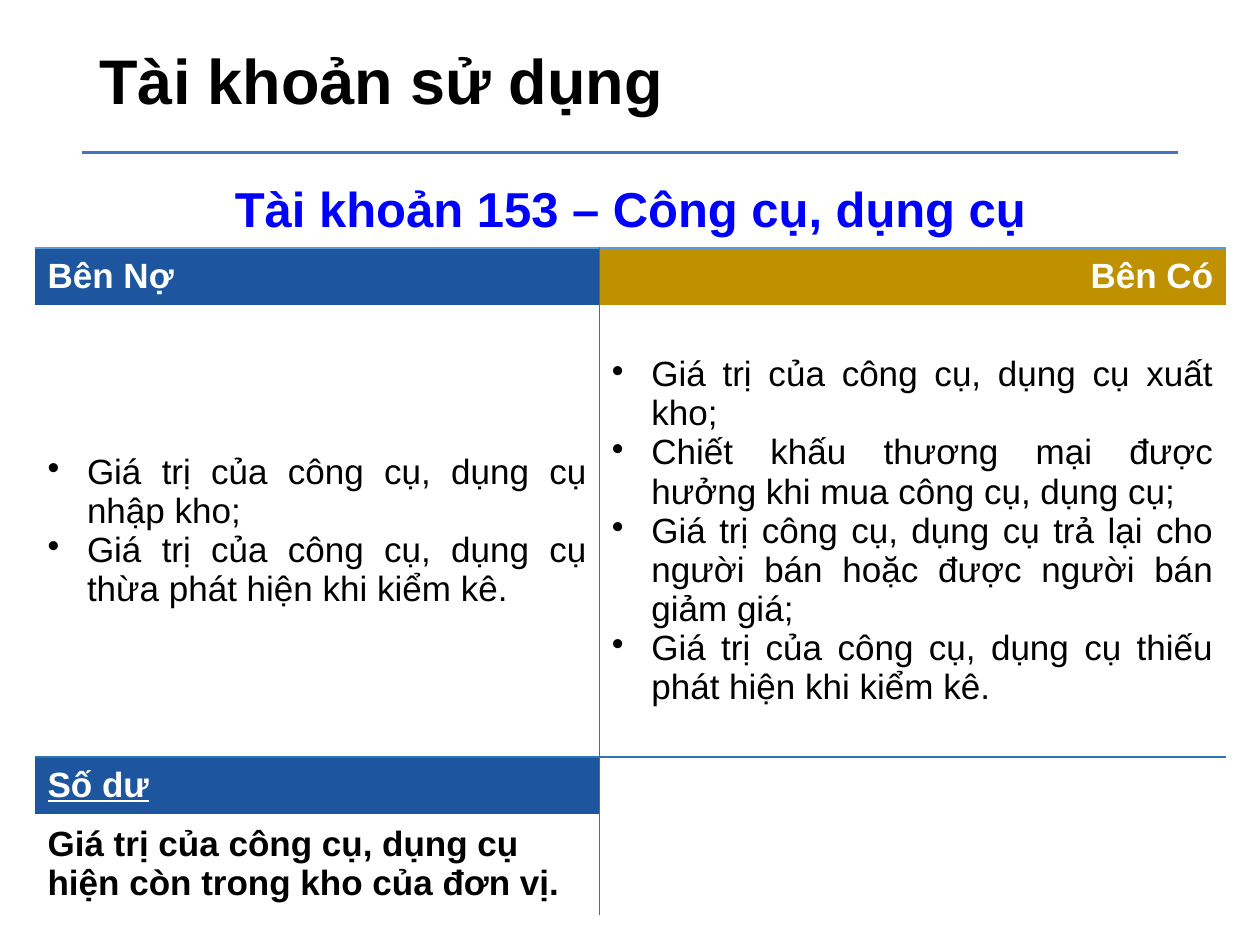
"""Builds the slide on account 153, tools and supplies, with its debit and credit sides."""
from dataclasses import dataclass

import pptx
import pptx.dml.color
import pptx.enum.shapes
import pptx.enum.text
import pptx.oxml
import pptx.oxml.ns
import pptx.util

Pt = pptx.util.Pt
ALIGN = pptx.enum.text.PP_ALIGN
MIDDLE = pptx.enum.text.MSO_ANCHOR.MIDDLE


@dataclass(frozen=True)
class Theme:
    font: str = "Arial"
    ink: str = "000000"
    light: str = "FFFFFF"
    account: str = "0000FF"
    debit: str = "1D559F"
    credit: str = "BF9000"
    rule: str = "4472C4"
    grid: str = "2E75B6"
    account_grid: str = "5B9BD5"
    title_size: float = 36
    account_size: float = 28
    body_size: float = 20


THEME = Theme()
COLUMN_WIDTHS = (322.5, 358)
ROW_HEIGHTS = (42.5, 32.4, 258.5, 32.4, 57.6)
BULLET_INDENT = Pt(22.5)

DEBIT_ENTRIES = (
    "Giá trị của công cụ, dụng cụ nhập kho;",
    "Giá trị của công cụ, dụng cụ thừa phát hiện khi kiểm kê.",
)
CREDIT_ENTRIES = (
    "Giá trị của công cụ, dụng cụ xuất kho;",
    "Chiết khấu thương mại được hưởng khi mua công cụ, dụng cụ;",
    "Giá trị công cụ, dụng cụ trả lại cho người bán hoặc được người bán giảm giá;",
    "Giá trị của công cụ, dụng cụ thiếu phát hiện khi kiểm kê.",
)


def rgb(value):
    return pptx.dml.color.RGBColor.from_string(value)


def add_text(paragraph, text, size=THEME.body_size, color=THEME.ink,
             bold=True, underline=False, align=ALIGN.LEFT):
    paragraph.alignment = align
    run = paragraph.add_run()
    run.text = text
    run.font.name = THEME.font
    run.font.size = Pt(size)
    run.font.bold = bold
    run.font.underline = underline
    run.font.color.rgb = rgb(color)


def add_bullets(frame, entries):
    for index, entry in enumerate(entries):
        paragraph = frame.add_paragraph() if index else frame.paragraphs[0]
        properties = paragraph._p.get_or_add_pPr()
        properties.set("marL", str(BULLET_INDENT))
        properties.set("indent", str(-BULLET_INDENT))
        bullet = pptx.oxml.parse_xml(
            f'<a:buChar {pptx.oxml.ns.nsdecls("a")} char="•"/>')
        properties.append(bullet)
        add_text(paragraph, entry, bold=False, align=ALIGN.JUSTIFY)


def set_borders(cell, colors):
    for side in "LRTB":
        color = colors.get(side)
        paint = (f'<a:solidFill><a:srgbClr val="{color}"/></a:solidFill>'
                 if color else "<a:noFill/>")
        cell._tc.get_or_add_tcPr().append(pptx.oxml.parse_xml(
            f'<a:ln{side} {pptx.oxml.ns.nsdecls("a")} w="{Pt(1)}">{paint}</a:ln{side}>'))


def border_colors(row, column):
    colors = {}
    if row:
        colors["L" if column else "R"] = THEME.grid
    if row in (0, 1):
        colors["T" if row else "B"] = THEME.account_grid
    if row in (2, 3):
        colors["B" if row == 2 else "T"] = THEME.grid
    return colors


def add_title(slide, text):
    title = slide.shapes.title
    title.left, title.top, title.width, title.height = Pt(49.7), Pt(18), Pt(620.6), Pt(59.8)
    title.text_frame.vertical_anchor = MIDDLE
    paragraph = title.text_frame.paragraphs[0]
    paragraph.line_spacing = 0.9
    add_text(paragraph, text, THEME.title_size)


def add_rule(slide):
    rule = slide.shapes.add_connector(
        pptx.enum.shapes.MSO_CONNECTOR.STRAIGHT, Pt(46.8), Pt(87), Pt(673.2), Pt(87))
    rule.line.color.rgb = rgb(THEME.rule)
    rule.line.width = Pt(1.5)
    rule._element.spPr.append(pptx.oxml.parse_xml(
        f'<a:effectLst {pptx.oxml.ns.nsdecls("a")}/>'))


def add_ledger(slide):
    ledger = slide.shapes.add_table(
        len(ROW_HEIGHTS), len(COLUMN_WIDTHS), Pt(20), Pt(99.2),
        Pt(sum(COLUMN_WIDTHS)), Pt(sum(ROW_HEIGHTS))).table
    ledger.first_row = ledger.horz_banding = False
    for column, width in zip(ledger.columns, COLUMN_WIDTHS):
        column.width = Pt(width)
    fills = {(1, 0): THEME.debit, (1, 1): THEME.credit, (3, 0): THEME.debit}
    for row, height in enumerate(ROW_HEIGHTS):
        ledger.rows[row].height = Pt(height)
        for column in range(len(COLUMN_WIDTHS)):
            cell = ledger.cell(row, column)
            cell.vertical_anchor = MIDDLE
            set_borders(cell, border_colors(row, column))
            if (row, column) in fills:
                cell.fill.solid()
                cell.fill.fore_color.rgb = rgb(fills[row, column])
            else:
                cell.fill.background()
    ledger.cell(0, 0).merge(ledger.cell(0, 1))
    return ledger


def fill_ledger(ledger):
    def write(row, column, text, **style):
        add_text(ledger.cell(row, column).text_frame.paragraphs[0], text, **style)

    write(0, 0, "Tài khoản 153 – Công cụ, dụng cụ", size=THEME.account_size,
          color=THEME.account, align=ALIGN.CENTER)
    write(1, 0, "Bên Nợ", color=THEME.light)
    write(1, 1, "Bên Có", color=THEME.light, align=ALIGN.RIGHT)
    add_bullets(ledger.cell(2, 0).text_frame, DEBIT_ENTRIES)
    add_bullets(ledger.cell(2, 1).text_frame, CREDIT_ENTRIES)
    write(3, 0, "Số dư", color=THEME.light, underline=True)
    write(4, 0, "Giá trị của công cụ, dụng cụ hiện còn trong kho của đơn vị.")


def main():
    deck = pptx.Presentation()
    deck.slide_width, deck.slide_height = Pt(720), Pt(540)
    slide = deck.slides.add_slide(deck.slide_layouts.get_by_name("Title Only"))
    add_rule(slide)
    add_title(slide, "Tài khoản sử dụng")
    fill_ledger(add_ledger(slide))
    deck.save("out.pptx")


if __name__ == "__main__":
    main()
